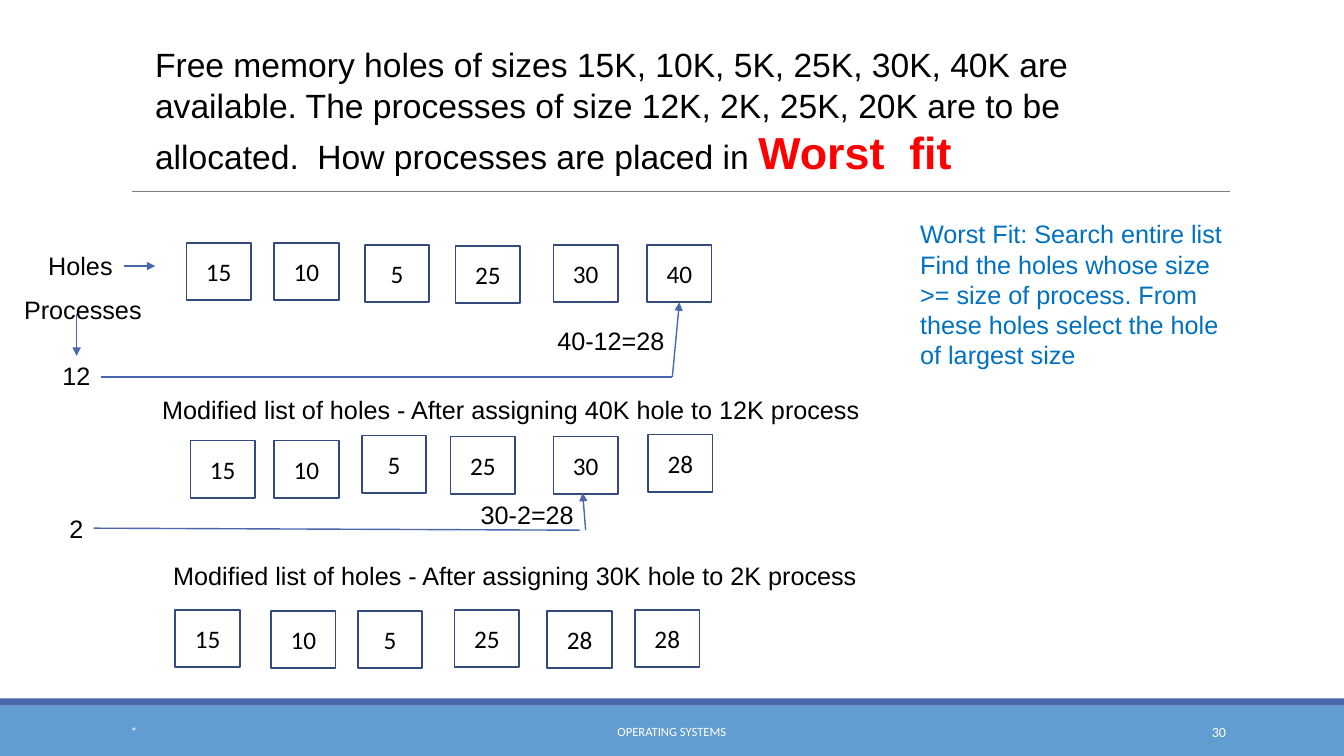
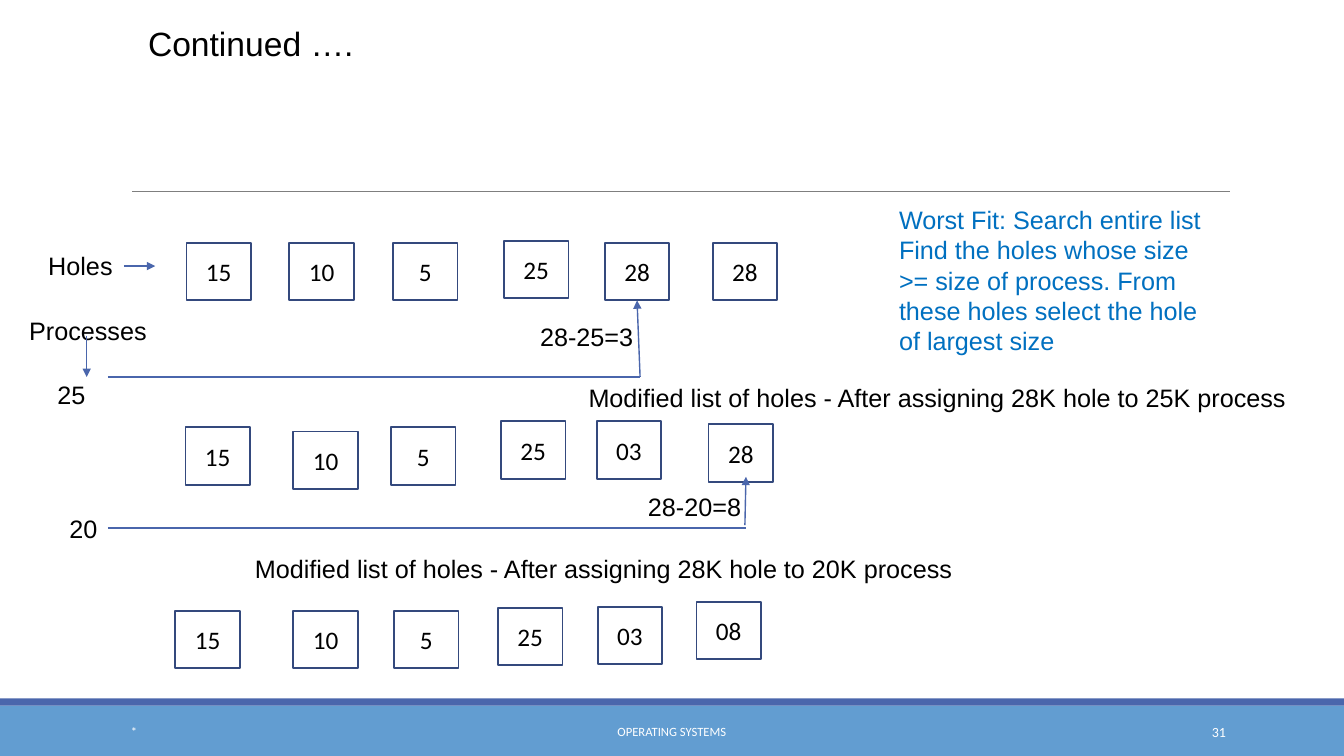
from lxml.etree import SubElement
from pptx import Presentation
from pptx.dml.color import RGBColor
from pptx.enum.shapes import MSO_CONNECTOR, MSO_SHAPE
from pptx.enum.text import MSO_ANCHOR, PP_ALIGN
from pptx.oxml.ns import qn
from pptx.util import Inches, Pt

COLUMNS, ROWS = 133.33, 75
HOLE_WIDTH, HOLE_HEIGHT = 6.4, 5.7
BOTTOM = 2

TITLE_SIZE = 24
HOLE_SIZE = LABEL_SIZE = 18
BLACK, WHITE, RED = "000000", "FFFFFF", "FF0000"
BAND, ACCENT, HOLE_LINE = "629DD1", "4A66AC", "34497D"
RULE, NOTE = "7F7F7F", "0070C0"

WORST_FIT_RULE = [
    "Worst Fit: Search entire list",
    "Find the holes whose size >= size of process. From these holes "
    "select the hole of largest size",
]


def cells(count):
    """Length of a number of grid cells, each a tenth of an inch."""
    return Inches(count / 10)


def colour(hex_string):
    return RGBColor.from_string(hex_string)


def add_run(paragraph, text, size=LABEL_SIZE, font="Arial", color=BLACK, bold=False):
    run = paragraph.add_run()
    run.text = text
    run.font.size = Pt(size)
    run.font.name = font
    run.font.bold = bold
    run.font.color.rgb = colour(color)


class Deck:
    """Style of the lecture and the slide being filled."""

    def __init__(self):
        self.presentation = Presentation()
        self.presentation.slide_width = cells(COLUMNS)
        self.presentation.slide_height = cells(ROWS)
        self.slide = None

    def start_slide(self, number):
        layout = self.presentation.slide_layouts[6]
        self.slide = self.presentation.slides.add_slide(layout)
        self.line((13.1, 19), (122, 19), color=RULE, width=0.75)
        self.band(70, 5, BAND)
        self.band(69.3, 0.7, ACCENT)
        footers = [
            (12, 27, "*", 9, PP_ALIGN.LEFT),
            (40.3, 52.7, "OPERATING SYSTEMS", 9, PP_ALIGN.CENTER),
            (108.3, 14.3, str(number), 10, PP_ALIGN.RIGHT),
        ]
        for left, width, text, size, align in footers:
            self.text(left, 70.6, width, 4, [text], align=align,
                      anchor=MSO_ANCHOR.MIDDLE, size=size, font="Calibri", color=WHITE)

    def rectangle(self, left, top, width, height):
        shape = self.slide.shapes.add_shape(
            MSO_SHAPE.RECTANGLE, cells(left), cells(top), cells(width), cells(height))
        shape.shadow.inherit = False
        return shape

    def band(self, top, height, color):
        shape = self.rectangle(0, top, COLUMNS, height)
        shape.fill.solid()
        shape.fill.fore_color.rgb = colour(color)
        shape.line.fill.background()

    def text(self, left, top, width, height, paragraphs, align=PP_ALIGN.LEFT,
             anchor=MSO_ANCHOR.TOP, wrap=True, **style):
        """Add a text box; returns its last paragraph."""
        box = self.slide.shapes.add_textbox(
            cells(left), cells(top), cells(width), cells(height))
        frame = box.text_frame
        frame.word_wrap = wrap
        frame.vertical_anchor = anchor
        for index, content in enumerate(paragraphs):
            paragraph = frame.add_paragraph() if index else frame.paragraphs[0]
            paragraph.alignment = align
            add_run(paragraph, content, **style)
        return paragraph

    def title(self, left, top, height, text, emphasis=""):
        paragraph = self.text(left, top, 97.2, height, [text], size=TITLE_SIZE)
        if emphasis:
            add_run(paragraph, emphasis, size=32, color=RED, bold=True)

    def label(self, left, top, width, text):
        self.text(left, top, width, 4, [text], wrap=False)

    def note(self, left, top):
        self.text(left, top, 33.1, 16.2, WORST_FIT_RULE, color=NOTE)

    def line(self, start, end, color=ACCENT, width=1, arrow=False, hole=None):
        """Draw a line; with a hole, its end is joined to the hole's bottom."""
        points = [cells(value) for value in (*start, *end)]
        connector = self.slide.shapes.add_connector(MSO_CONNECTOR.STRAIGHT, *points)
        connector.line.color.rgb = colour(color)
        connector.line.width = Pt(width)
        if arrow:
            outline = connector.line._get_or_add_ln()
            SubElement(outline, qn("a:tailEnd"), type="triangle")
        SubElement(connector._element.spPr, qn("a:effectLst"))
        if hole is not None:
            connector.end_connect(hole, BOTTOM)

    def arrow(self, start, end, hole=None):
        self.line(start, end, arrow=True, hole=hole)

    def holes(self, sizes, lefts, tops):
        """Add a row of memory holes; returns their shapes."""
        shapes = []
        for size, left, top in zip(sizes.split(), lefts, tops):
            shape = self.rectangle(left, top, HOLE_WIDTH, HOLE_HEIGHT)
            shape.fill.background()
            shape.line.color.rgb = colour(HOLE_LINE)
            shape.line.width = Pt(1.25)
            shape.text_frame.vertical_anchor = MSO_ANCHOR.MIDDLE
            paragraph = shape.text_frame.paragraphs[0]
            paragraph.alignment = PP_ALIGN.CENTER
            add_run(paragraph, size, size=HOLE_SIZE, font="Calibri")
            shapes.append(shape)
        return shapes

    def row_labels(self, processes_left, processes_top, arrow_left):
        self.label(3.8, 24.3, 8.5, "Holes")
        self.arrow((12.3, 26.4), (15.4, 26.4))
        self.label(processes_left, processes_top, 13.8, "Processes")
        arrow_top = processes_top + 2.5
        self.arrow((arrow_left, arrow_top), (arrow_left, arrow_top + 4.1))

    def modified_list(self, left, top, width, hole, process):
        self.label(left, top, width, "Modified list of holes - After assigning "
                   f"{hole}K hole to {process}K process")


def add_first_allocations(deck):
    deck.start_slide(30)
    deck.title(14.4, 3.9, 18.5,
               "Free memory holes of sizes 15K, 10K, 5K, 25K, 30K, 40K are available. "
               "The processes of size 12K, 2K, 25K, 20K are to be allocated.  "
               "How processes are placed in ", "Worst  fit")
    deck.row_labels(1.4, 28.7, 7.6)
    deck.note(90.3, 21.2)

    free_holes = deck.holes("15 10 5 25 30 40", (18.5, 27.2, 36.2, 45.2, 54.9, 64.2),
                            (24.1, 24.1, 24.3, 24.4, 24.3, 24.3))
    deck.label(5.2, 35.3, 4.8, "12")
    deck.line((10, 37.4), (66.7, 37.4))
    deck.arrow((66.7, 37.4), (67.4, 30), hole=free_holes[-1])
    deck.label(54.3, 31.8, 13.9, "40-12=28")

    deck.modified_list(15.1, 38.6, 71.3, 40, 12)
    deck.holes("15 10 5 25 30 28", (18.9, 27.2, 35.9, 44.7, 54.9, 64.3),
               (43.7, 43.7, 43.2, 43.3, 43.3, 43.1))
    deck.label(5.9, 50.4, 3.4, "2")
    deck.line((9.3, 52.4), (57.5, 52.6))
    deck.arrow((58.1, 52.6), (57.8, 48.9))
    deck.label(46.7, 49, 11.7, "30-2=28")

    deck.modified_list(16.2, 55.1, 70.5, 30, 2)
    deck.holes("15 10 5 25 28 28", (17.4, 26.9, 35.5, 45.1, 54.3, 63),
               (60.5, 60.6, 60.6, 60.5, 60.6, 60.5))


def add_last_allocations(deck):
    deck.start_slide(31)
    deck.title(13.7, 1.8, 5.1, "Continued ….")
    deck.row_labels(1.9, 30.8, 8.6)
    deck.note(88.2, 19.8)

    free_holes = deck.holes("15 10 5 25 28 28", (18.5, 28.7, 39, 50, 60, 70.7),
                            (24.1, 24.1, 24.1, 23.9, 24.1, 24.1))
    deck.label(4.7, 37.1, 4.8, "25")
    deck.line((10.7, 37.4), (63.5, 37.4))
    deck.arrow((63.5, 37.4), (63.2, 29.8), hole=free_holes[4])
    deck.label(52.6, 31.4, 11.7, "28-25=3")

    deck.modified_list(57.4, 37.4, 71.3, 28, 25)
    deck.holes("15 10 5 25 03 28", (18.4, 29.1, 38.8, 49.7, 59.2, 70.3),
               (42.4, 42.8, 42.4, 41.8, 41.8, 42.1))
    deck.label(5.9, 50.4, 4.8, "20")
    deck.line((10.7, 52.4), (74, 52.4))
    deck.arrow((73.9, 52.1), (74, 47.3))
    deck.label(63.3, 48.3, 11.7, "28-20=8")

    deck.modified_list(24.3, 54.4, 71.9, 28, 20)
    deck.holes("15 10 5 25 03 08", (17.4, 29.1, 39.1, 49.4, 59.3, 69.1),
               (60.6, 60.6, 60.6, 60.3, 60.2, 59.7))


def main():
    deck = Deck()
    add_first_allocations(deck)
    add_last_allocations(deck)
    deck.presentation.save("out.pptx")


if __name__ == "__main__":
    main()
